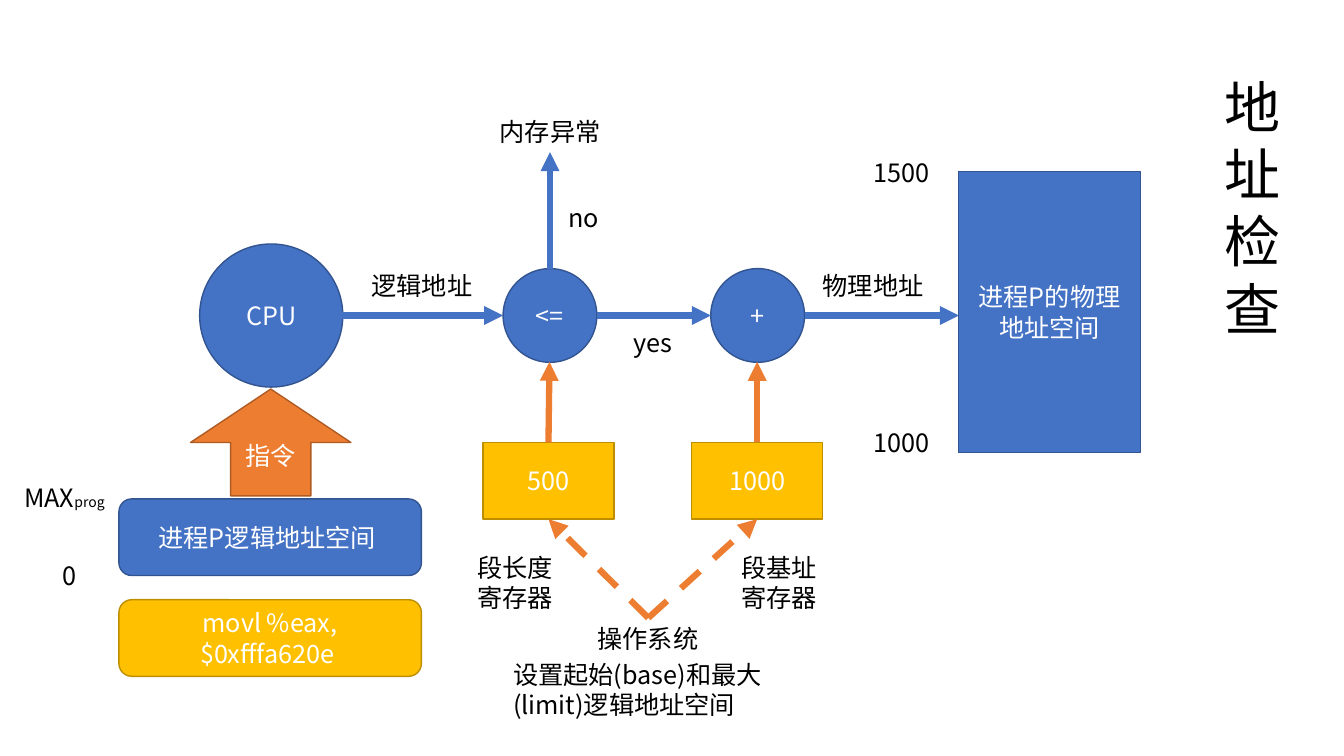
from dataclasses import dataclass

from lxml import etree
from pptx import Presentation
from pptx.dml.color import RGBColor
from pptx.enum.dml import MSO_LINE
from pptx.enum.shapes import MSO_CONNECTOR, MSO_SHAPE
from pptx.enum.text import MSO_ANCHOR, MSO_AUTO_SIZE, PP_ALIGN
from pptx.oxml.ns import qn
from pptx.util import Inches, Pt

RECT, ROUNDED = MSO_SHAPE.RECTANGLE, MSO_SHAPE.ROUNDED_RECTANGLE
CIRCLE, UP_ARROW = MSO_SHAPE.OVAL, MSO_SHAPE.UP_ARROW
STRAIGHT, DASH = MSO_CONNECTOR.STRAIGHT, MSO_LINE.DASH
LEFT, CENTER = PP_ALIGN.LEFT, PP_ALIGN.CENTER
TOP, MIDDLE = MSO_ANCHOR.TOP, MSO_ANCHOR.MIDDLE
NO_AUTOFIT = MSO_AUTO_SIZE.NONE
TITLE_ONLY = 5


@dataclass(frozen=True)
class Theme:
    """Font, type sizes, line widths and (fill, outline) colours."""
    font: str = "Noto Sans CJK SC"
    title: int = 40
    body: int = 18
    subscript: int = 10
    outline: int = 1
    arrow: float = 4.5
    black: str = "000000"
    white: str = "FFFFFF"
    blue: tuple = ("4472C4", "325491")
    gold: tuple = ("FFC000", "BD8E00")
    orange: tuple = ("ED7D31", "AF5C24")


THEME = Theme()


def style_text(frame, text, size, color, align, anchor):
    """Fill a text frame with one uniformly formatted paragraph."""
    frame.word_wrap = True
    frame.auto_size = NO_AUTOFIT
    frame.vertical_anchor = anchor
    paragraph = frame.paragraphs[0]
    paragraph.text = text
    paragraph.alignment = align
    font = paragraph.font
    font.size, font.name = Pt(size), THEME.font
    font.color.rgb = RGBColor.from_string(color)
    defaults = paragraph._p.pPr.find(qn("a:defRPr"))
    etree.SubElement(defaults, qn("a:ea"), typeface=THEME.font)
    return paragraph


@dataclass
class Region:
    """A part of the slide whose contents are placed from its top left corner."""
    slide: object
    left: float
    top: float

    def place(self, x, y, *size):
        """Turn region coordinates into slide lengths."""
        return [Inches(v) for v in (self.left + x, self.top + y, *size)]

    def node(self, kind, text, box, colors):
        """Add a filled shape with centred white text."""
        node = self.slide.shapes.add_shape(kind, *self.place(*box))
        fill, outline = colors
        node.shadow.inherit = False
        node.fill.solid()
        node.fill.fore_color.rgb = RGBColor.from_string(fill)
        node.line.color.rgb = RGBColor.from_string(outline)
        node.line.width = Pt(THEME.outline)
        style_text(node.text_frame, text, THEME.body, THEME.white, CENTER, MIDDLE)

    def label(self, text, box, align=CENTER):
        """Add a plain black label and return its paragraph."""
        label = self.slide.shapes.add_textbox(*self.place(*box))
        return style_text(label.text_frame, text, THEME.body, THEME.black, align, TOP)

    def arrow(self, start, end, colors, dash=None):
        """Add a thick arrow from start to end."""
        arrow = self.slide.shapes.add_connector(
            STRAIGHT, *self.place(*start), *self.place(*end))
        arrow.line.color.rgb = RGBColor.from_string(colors[0])
        arrow.line.width = Pt(THEME.arrow)
        if dash:
            arrow.line.dash_style = dash
        etree.SubElement(arrow.line._get_or_add_ln(), qn("a:tailEnd"), type="triangle")
        etree.SubElement(arrow._element.spPr, qn("a:effectLst"))


def add_title(slide, text, left, top, width, height):
    """Set the title in a column one character wide."""
    title = slide.shapes.title
    title.left, title.top = Inches(left), Inches(top)
    title.width, title.height = Inches(width), Inches(height)
    style_text(title.text_frame, text, THEME.title, THEME.black, LEFT, TOP)


def add_process(region):
    """Draw the logical address space feeding instructions to the CPU."""
    region.node(ROUNDED, "movl %eax, $0xfffa620e ", (1.04, 3.53, 3, 0.76), THEME.gold)
    region.node(ROUNDED, "进程P逻辑地址空间 ", (1.04, 2.53, 3, 0.76), THEME.blue)
    region.label("0", (0.38, 3.09, 0.66, 0.4), LEFT)
    limit = region.label("MAX", (0, 2.32, 1.05, 0.4), LEFT)
    subscript = limit.add_run()
    subscript.text = "prog"
    subscript.font.size = Pt(THEME.subscript)
    region.node(CIRCLE, "CPU", (1.84, 0, 1.42, 1.42), THEME.blue)
    region.node(UP_ARROW, "指令", (1.75, 1.44, 1.59, 1.06), THEME.orange)


def add_check(region):
    """Draw the limit test and base addition along one horizontal axis."""
    axis, size = 2.02, 0.93
    compare, add = 1.61, 3.67
    for text, x in (("<=", compare), ("+", add)):
        region.node(CIRCLE, text, (x, axis - size / 2, size, size), THEME.blue)
    for start, end in ((0, compare), (compare + size, add), (add + size, 6.13)):
        region.arrow((start, axis), (end, axis), THEME.blue)
    middle = compare + size / 2
    region.arrow((middle, axis - size / 2), (middle, 0.4), THEME.blue)
    for text, x, y, width in (
        ("内存异常", 1.27, 0, 1.61),
        ("no", 2.06, 0.85, 0.7),
        ("逻辑地址", 0, 1.52, 1.61),
        ("yes", 2.75, 2.09, 0.7),
        ("物理地址", 4.65, 1.52, 1.26),
    ):
        region.label(text, (x, y, width, 0.4))


def add_registers(region):
    """Draw the two registers that the operating system loads."""
    width, height, rise = 1.3, 0.76, 0.8
    system = (1.89, 2.54)
    for value, name, x, name_x, target in (
        ("500", "段长度寄存器", 0.25, 0, 0.91),
        ("1000", "段基址寄存器", 2.32, 2.62, 2.97),
    ):
        middle = x + width / 2
        region.node(RECT, value, (x, rise, width, height), THEME.gold)
        region.arrow((middle, rise), (target, 0), THEME.orange)
        region.label(name, (name_x, 1.84, 1.14, 0.71))
        region.arrow(system, (middle, rise + height), THEME.orange, DASH)
    region.label("操作系统", (1.13, 2.54, 1.51, 0.4))
    region.label("设置起始(base)和最大(limit)逻辑地址空间", (0.45, 2.9, 3.17, 0.71), LEFT)


def add_memory(region):
    """Draw the physical address space with its two bounds."""
    region.node(RECT, "进程P的物理地址空间", (1.14, 0.19, 1.8, 2.79), THEME.blue)
    for bound, y in (("1500", 0), ("1000", 2.68)):
        region.label(bound, (0, y, 1.14, 0.4))


def main():
    """Build the slide and save it."""
    deck = Presentation()
    deck.slide_width, deck.slide_height = Inches(13.33), Inches(7.5)
    slide = deck.slides.add_slide(deck.slide_layouts[TITLE_ONLY])
    add_title(slide, "地址检查", 12.04, 0.67, 0.56, 2.79)
    add_process(Region(slide, 0.14, 2.42))
    add_check(Region(slide, 3.38, 1.11))
    add_registers(Region(slide, 4.54, 3.59))
    add_memory(Region(slide, 8.37, 1.51))
    deck.save("out.pptx")


if __name__ == "__main__":
    main()
